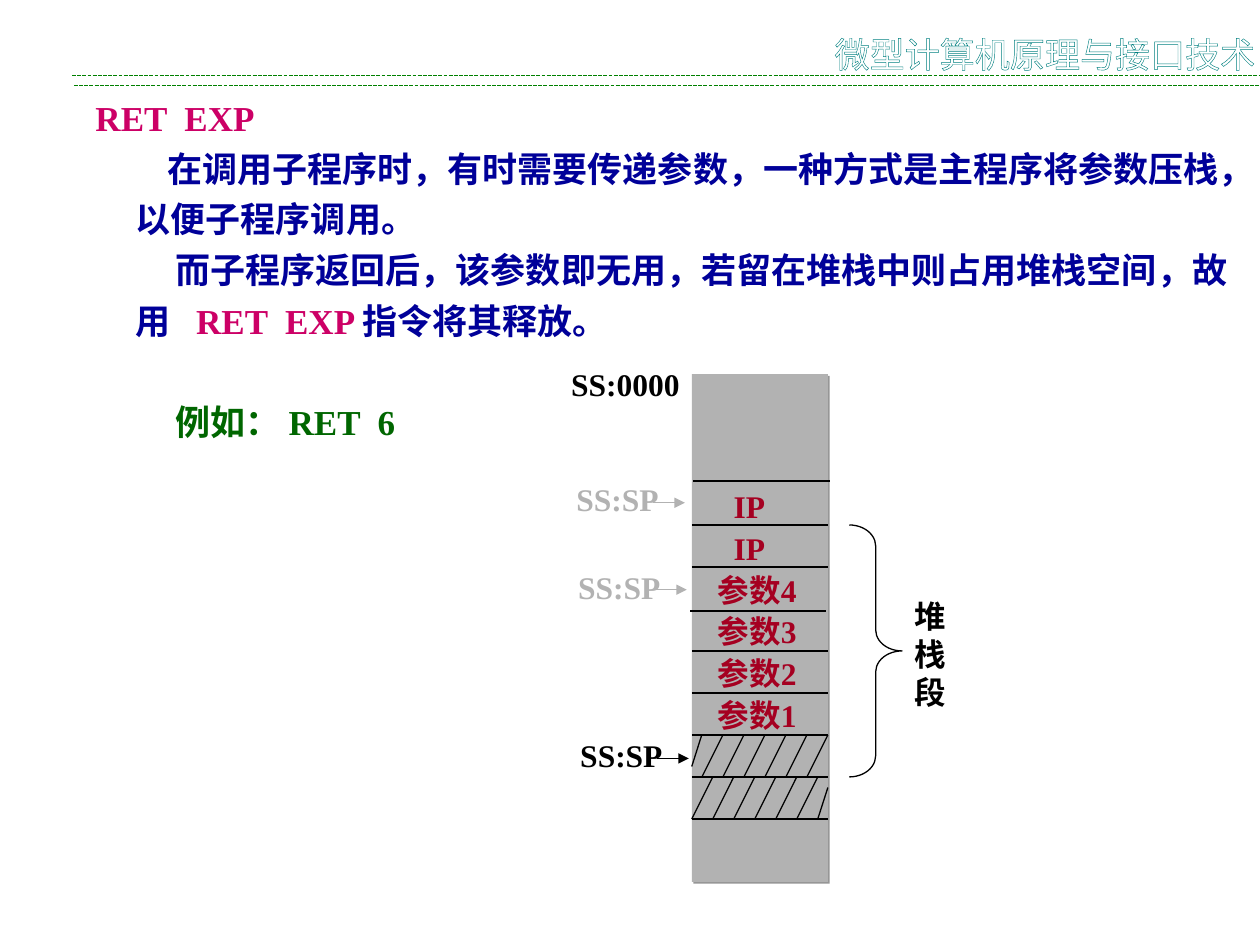
import pptx
import pptx.dml.color
import pptx.enum.dml
import pptx.enum.shapes
import pptx.enum.text
import pptx.oxml
import pptx.oxml.ns
import pptx.util
from lxml import etree

Pt = pptx.util.Pt
qn = pptx.oxml.ns.qn
Align = pptx.enum.text.PP_ALIGN

LATIN_FONT = "Times New Roman"
CHINESE_FONT = "Noto Sans CJK SC"
COLORS = {
    "teal": "008080", "header": "008000", "white": "FFFFFF", "black": "000000",
    "pink": "CC0066", "navy": "000099", "green": "006600", "red": "A50021",
    "gray": "B2B2B2", "shadow": "969696",
}
STACK_LEFT, STACK_TOP, STACK_WIDTH, STACK_HEIGHT = 395.3, 213.8, 77.8, 290.2
STACK_RIGHT = STACK_LEFT + STACK_WIDTH
ROW = 24
FIRST_ROW = 300
HATCH_TOP = FIRST_ROW + 5 * ROW
HATCH_STEP = 12


def rgb(name):
    return pptx.dml.color.RGBColor.from_string(COLORS[name])


def add_run(paragraph, text, size, color, bold, font, outline, tracking=0):
    run = paragraph.add_run()
    run.text = text
    run.font.size = Pt(size)
    run.font.bold = bold
    run.font.color.rgb = rgb(color)
    run.font.name = font
    properties = run._r.get_or_add_rPr()
    if tracking:
        properties.set("spc", str(tracking * 100))
    east_asian = etree.SubElement(properties, qn("a:ea"))
    east_asian.set("typeface", CHINESE_FONT)
    if outline:
        line = etree.Element(qn("a:ln"), w=str(Pt(0.75)))
        fill = etree.SubElement(line, qn("a:solidFill"))
        etree.SubElement(fill, qn("a:srgbClr"), val=COLORS[outline])
        properties.insert(0, line)


def add_text(slide, paragraphs, left, top, width, height, size=18, color="black",
             bold=True, font=LATIN_FONT, outline=None, align=Align.LEFT,
             pitch=None, wrap=False):
    """Each paragraph is a dict: runs as (text, color or None[, tracking]), indent, before."""
    frame = slide.shapes.add_textbox(Pt(left), Pt(top), Pt(width), Pt(height)).text_frame
    frame.word_wrap = wrap
    for index, content in enumerate(paragraphs):
        paragraph = frame.paragraphs[0] if index == 0 else frame.add_paragraph()
        paragraph.alignment = align
        if pitch:
            paragraph.line_spacing = Pt(pitch)
        if index and "before" in content:
            paragraph.space_before = Pt(content["before"])
        properties = paragraph._p.get_or_add_pPr()
        properties.set("marL", "0")
        properties.set("indent", str(Pt(content.get("indent", 0))))
        for text, run_color, *tracking in content["runs"]:
            add_run(paragraph, text, size, run_color or color, bold, font, outline, *tracking)


def add_line(slide, x1, y1, x2, y2, color="black", width=0.75, arrow=False, dash=None):
    line = slide.shapes.add_connector(
        pptx.enum.shapes.MSO_CONNECTOR.STRAIGHT, Pt(x1), Pt(y1), Pt(x2), Pt(y2))
    line.line.color.rgb = rgb(color)
    line.line.width = Pt(width)
    if dash:
        line.line.dash_style = dash
    if arrow:
        etree.SubElement(line.line._get_or_add_ln(), qn("a:tailEnd"), type="triangle")
    etree.SubElement(line._element.spPr, qn("a:effectLst"))


def add_header(slide):
    dashes = pptx.enum.dml.MSO_LINE.SQUARE_DOT
    add_line(slide, 42.3, 49, 720, 49, "header", dash=dashes)
    add_line(slide, 41.2, 43.2, 720, 43.2, "header", dash=dashes)
    add_text(slide, [{"runs": [("微型计算机原理与接口技术", None)]}], 467.2, 15.1, 260, 20.2,
             size=20, color="white", bold=False, font=CHINESE_FONT, outline="teal",
             align=Align.CENTER, pitch=24)


def add_explanation(slide):
    paragraphs = [
        {"runs": [("RET  EXP", "pink")]},
        {"runs": [("在调用子程序时，有时需要传递参数，一种方式是主程序将参数压栈，", None)],
         "indent": 41, "before": 5},
        {"runs": [("以便子程序调用。", None)], "indent": 23, "before": 5},
        {"runs": [("而子程序返回后，该参数即无用，若留在堆栈中则占用堆栈空间，故", None)],
         "indent": 45.7, "before": 5},
        {"runs": [("用 ", None, 5), ("RET  EXP ", "pink"), ("指令将其释放。", None)],
         "indent": 23, "before": 5},
        {"runs": [("例如： RET  6", "green")], "indent": 45.7, "before": 34},
    ]
    add_text(slide, paragraphs, 47.5, 51.5, 681.1, 466.6, size=20, color="navy",
             pitch=24, wrap=True)


def add_stack(slide):
    stack = slide.shapes.add_shape(
        pptx.enum.shapes.MSO_SHAPE.RECTANGLE,
        Pt(STACK_LEFT), Pt(STACK_TOP), Pt(STACK_WIDTH), Pt(STACK_HEIGHT))
    stack.fill.solid()
    stack.fill.fore_color.rgb = rgb("gray")
    stack.line.fill.background()
    stack.shadow.inherit = False
    effects = stack._element.spPr.find(qn("a:effectLst"))
    shadow = etree.SubElement(effects, qn("a:outerShdw"), dist=str(Pt(1.4)),
                              dir="2700000", algn="ctr", rotWithShape="0")
    etree.SubElement(shadow, qn("a:srgbClr"), val=COLORS["shadow"])

    add_line(slide, 396.3, 275, 474.2, 275, width=1)
    for row in range(8):
        y = FIRST_ROW + row * ROW
        if row == 2:
            add_line(slide, STACK_LEFT - 0.8, y + 1.2, STACK_RIGHT - 0.8, y + 1.2, width=1)
        else:
            add_line(slide, STACK_LEFT, y, STACK_RIGHT, y, width=1 if row < 5 else 0.75)

    cells = [{"runs": [("IP", None)], "indent": 9}] * 2
    cells += [{"runs": [(f"参数{number}", None)]} for number in (4, 3, 2, 1)]
    add_text(slide, cells, 403.2, 272.7, 80, 147.6, color="red", pitch=23.8, wrap=True)


def add_hatching(slide):
    middle, bottom = HATCH_TOP + ROW, HATCH_TOP + 2 * ROW
    add_line(slide, 401, HATCH_TOP, STACK_LEFT, HATCH_TOP + 18)
    for stripe in range(6):
        upper = STACK_RIGHT - stripe * HATCH_STEP
        add_line(slide, upper, HATCH_TOP, upper - HATCH_STEP, middle)
        lower = STACK_LEFT + stripe * HATCH_STEP
        add_line(slide, lower + HATCH_STEP, middle, lower, bottom)
    add_line(slide, STACK_RIGHT, middle + 6, 467.3, bottom)


def add_pointer(slide, left, top, arrow_y, color):
    add_text(slide, [{"runs": [("SS:SP", color)]}], left, top, 64, 28.8)
    add_line(slide, left + 51.1, arrow_y, left + 69.1, arrow_y, color, arrow=True)


def add_segment_brace(slide):
    brace = slide.shapes.add_shape(
        pptx.enum.shapes.MSO_SHAPE.RIGHT_BRACE, Pt(485.3), Pt(FIRST_ROW), Pt(30.2), Pt(6 * ROW))
    brace.adjustments[0] = 0.4
    brace.fill.background()
    brace.line.color.rgb = rgb("black")
    brace.line.width = Pt(0.75)
    brace.shadow.inherit = False
    add_text(slide, [{"runs": [(character, None)]} for character in "堆栈段"],
             515.5, 337.7, 32.4, 72, pitch=21.7)


def main():
    deck = pptx.Presentation()
    deck.slide_width, deck.slide_height = Pt(720), Pt(540)
    slide = deck.slides.add_slide(deck.slide_layouts[6])
    add_header(slide)
    add_explanation(slide)
    add_stack(slide)
    add_hatching(slide)
    add_text(slide, [{"runs": [("SS:0000", None)]}], 319.3, 205.2, 76.3, 28.8)
    for left, top, arrow_y, color in [(322.3, 271, 287.3, "gray"),
                                      (323.3, 321, 337, "gray"),
                                      (324.5, 417, 433.4, "black")]:
        add_pointer(slide, left, top, arrow_y, color)
    add_segment_brace(slide)
    deck.save("out.pptx")


if __name__ == "__main__":
    main()
